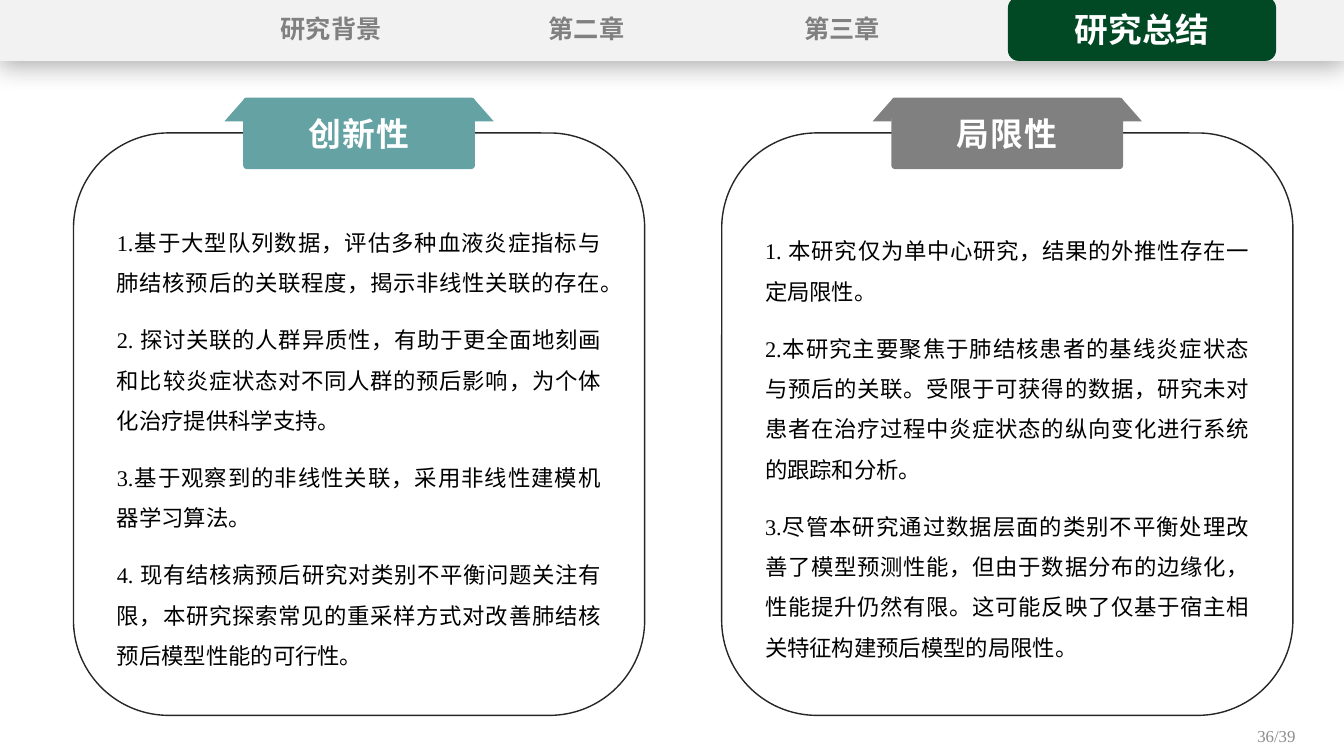
from dataclasses import dataclass

from lxml import etree
from pptx import Presentation
from pptx.dml.color import RGBColor
from pptx.enum.shapes import MSO_SHAPE
from pptx.enum.text import MSO_ANCHOR, MSO_AUTO_SIZE, PP_ALIGN
from pptx.oxml.ns import qn
from pptx.util import Pt

RECTANGLE = MSO_SHAPE.RECTANGLE
ROUNDED = MSO_SHAPE.ROUNDED_RECTANGLE
MIDDLE = MSO_ANCHOR.MIDDLE
NO_AUTOFIT = MSO_AUTO_SIZE.NONE
CENTER, RIGHT, JUSTIFY = PP_ALIGN.CENTER, PP_ALIGN.RIGHT, PP_ALIGN.JUSTIFY


@dataclass(frozen=True)
class Theme:
    """Colours, font and type sizes of the slide."""
    font: str = "Times New Roman"
    band: str = "F2F2F2"
    active: str = "014924"
    teal: str = "64A2A4"
    gray: str = "808080"
    outline: str = "262626"
    text: str = "000000"
    light: str = "FFFFFF"
    page: str = "8C8C8C"
    title_size: float = 24
    banner_size: float = 23.4
    tab_size: float = 18
    body_size: float = 16
    page_size: float = 12


THEME = Theme()

CHAPTERS = ["研究背景", "第二章", "第三章"]
INNOVATIONS = [
    "1.基于大型队列数据，评估多种血液炎症指标与肺结核预后的关联程度，揭示非线性关联的存在。",
    "2. 探讨关联的人群异质性，有助于更全面地刻画和比较炎症状态对不同人群的预后影响，为个体化治疗提供科学支持。",
    "3.基于观察到的非线性关联，采用非线性建模机器学习算法。",
    "4. 现有结核病预后研究对类别不平衡问题关注有限，本研究探索常见的重采样方式对改善肺结核预后模型性能的可行性。",
]
LIMITATIONS = [
    "1. 本研究仅为单中心研究，结果的外推性存在一定局限性。",
    "2.本研究主要聚焦于肺结核患者的基线炎症状态与预后的关联。受限于可获得的数据，研究未对患者在治疗过程中炎症状态的纵向变化进行系统的跟踪和分析。",
    "3.尽管本研究通过数据层面的类别不平衡处理改善了模型预测性能，但由于数据分布的边缘化，性能提升仍然有限。这可能反映了仅基于宿主相关特征构建预后模型的局限性。",
]


def write(shape, lines, *, size, color, bold=False, align=CENTER, inset=0,
          line_spacing=1.0, gap=0, tracking=0):
    """Fill a shape with formatted paragraphs, vertically centred."""
    frame = shape.text_frame
    frame.word_wrap = True
    frame.auto_size = NO_AUTOFIT
    frame.vertical_anchor = MIDDLE
    frame.margin_left = frame.margin_right = Pt(inset)
    frame.margin_top = frame.margin_bottom = Pt(inset / 2)
    for index, line in enumerate(lines):
        paragraph = frame.add_paragraph() if index else frame.paragraphs[0]
        properties = paragraph._p.get_or_add_pPr()
        properties.set("marL", "0")
        properties.set("indent", "0")
        etree.SubElement(properties, qn("a:buNone"))
        paragraph.alignment = align
        paragraph.line_spacing = line_spacing
        paragraph.space_before = Pt(gap if index else 0)
        run = paragraph.add_run()
        run.text = line
        run.font.name = THEME.font
        run.font.size = Pt(size)
        run.font.bold = bold
        run.font.color.rgb = RGBColor.from_string(color)
        if tracking:
            run._r.get_or_add_rPr().set("spc", str(round(tracking * 100)))


def place(shape, left, top, width, height):
    """Move and size a shape in points."""
    shape.left, shape.top = Pt(left), Pt(top)
    shape.width, shape.height = Pt(width), Pt(height)


def paint(shape, color):
    """Give a shape a flat fill without line or shadow."""
    shape.shadow.inherit = False
    shape.fill.solid()
    shape.fill.fore_color.rgb = RGBColor.from_string(color)
    shape.line.fill.background()


def add_block(slide, kind, box, color):
    """Add a flat preset shape in the given box."""
    shape = slide.shapes.add_shape(kind, *map(Pt, box))
    paint(shape, color)
    return shape


def add_label(slide, box, text, **text_format):
    """Add a one-line text box."""
    write(slide.shapes.add_textbox(*map(Pt, box)), [text], **text_format)


def cast_shadow(shape):
    """Put a soft shadow below a shape."""
    effects = shape._element.spPr.find(qn("a:effectLst"))
    shadow = etree.SubElement(effects, qn("a:outerShdw"), blurRad=str(Pt(18)),
                              dist=str(Pt(4)), dir="5400000", rotWithShape="0")
    color = etree.SubElement(shadow, qn("a:srgbClr"), val="000000")
    etree.SubElement(color, qn("a:alpha"), val="29000")


def build_header(slide, box):
    """Draw the chapter band with the active chapter as slide title."""
    left, top, width, height = box
    cast_shadow(add_block(slide, RECTANGLE, box, THEME.band))
    for index, chapter in enumerate(CHAPTERS):
        add_label(slide, (left + 164 + 182.5 * index, top + 5.5, 145, 30), chapter,
                  size=THEME.tab_size, color=THEME.gray, bold=True)
    tab = (left + width - 240, top - 2, 191.5, height + 2)
    add_block(slide, ROUNDED, tab, THEME.active)
    title = slide.shapes.title
    place(title, *tab)
    write(title, ["研究总结"], size=THEME.title_size, color=THEME.light, bold=True)
    slide.shapes._spTree.append(title._element)


def build_banner(slide, box, heading, color):
    """Draw a heading block with a folded ear at each side."""
    left, top, width, height = box
    for edge, outward in ((left, -1), (left + width, 1)):
        builder = slide.shapes.build_freeform(Pt(edge), Pt(top + 17))
        builder.add_line_segments([(Pt(edge - 1.5 * outward), Pt(top)),
                                   (Pt(edge + 13.5 * outward), Pt(top + 17))])
        paint(builder.convert_to_shape(), color)
    block = add_block(slide, ROUNDED, box, color)
    block.adjustments[0] = 0.05
    write(block, [heading], size=THEME.banner_size, color=THEME.light,
          bold=True, tracking=0.8)


def build_panel(slide, box, body, heading, points, color):
    """Draw an outlined panel with its banner and numbered points."""
    left, top, width, height = box
    place(body, left + 23.75, top + 55.5, width - 47.5, 331)
    write(body, points, size=THEME.body_size, color=THEME.text, align=JUSTIFY,
          inset=7.2, line_spacing=1.5, gap=12)
    outline = slide.shapes.add_shape(ROUNDED, *map(Pt, box))
    outline.shadow.inherit = False
    outline.fill.background()
    outline.line.color.rgb = RGBColor.from_string(THEME.outline)
    outline.line.width = Pt(1)
    build_banner(slide, (left + width / 2 - 82.75, top - 25.25, 165.5, 51), heading, color)


def main():
    """Build and save the summary slide."""
    presentation = Presentation()
    presentation.slide_width, presentation.slide_height = Pt(960), Pt(540)
    slide = presentation.slides.add_slide(presentation.slide_layouts[3])
    build_header(slide, (0, 0, 960, 43.5))
    panels = [("创新性", INNOVATIONS, THEME.teal), ("局限性", LIMITATIONS, THEME.gray)]
    for index, (heading, points, color) in enumerate(panels):
        build_panel(slide, (52.5 + 463 * index, 95, 408, 416),
                    slide.placeholders[index + 1], heading, points, color)
    add_label(slide, (716.5, 511.5, 216, 28.5), "36/39", size=THEME.page_size,
              color=THEME.page, align=RIGHT, inset=7.2)
    presentation.save("out.pptx")


if __name__ == "__main__":
    main()
